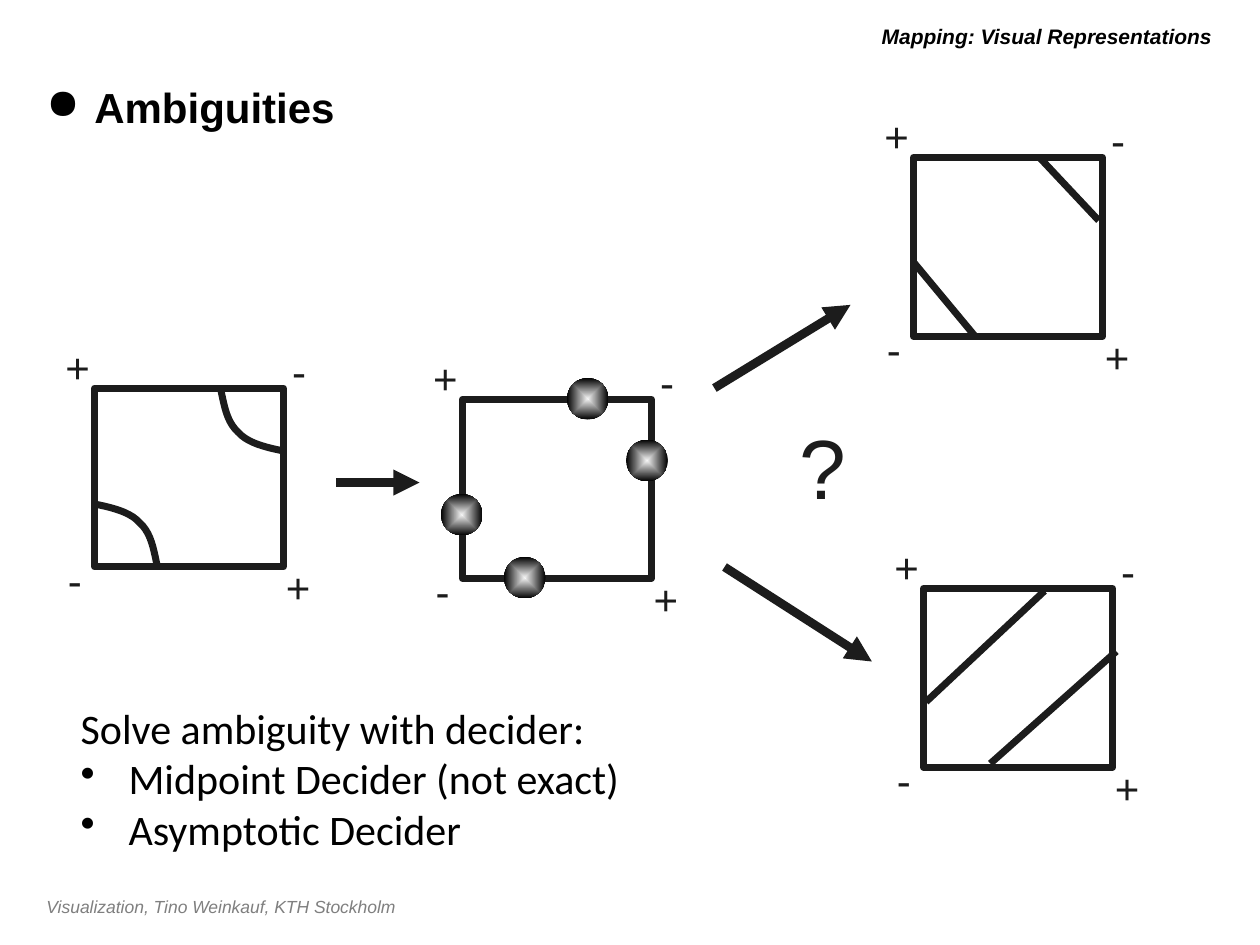
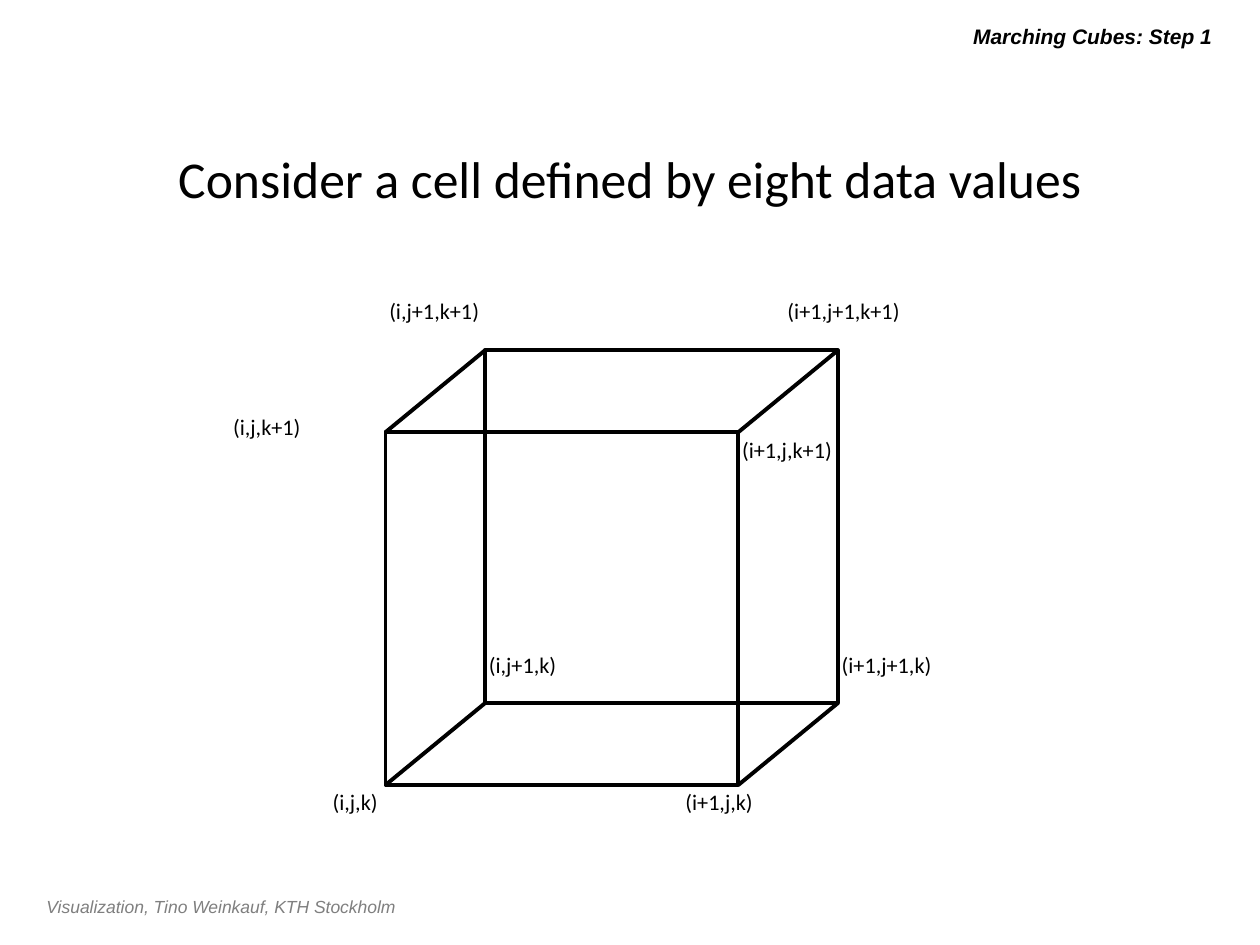
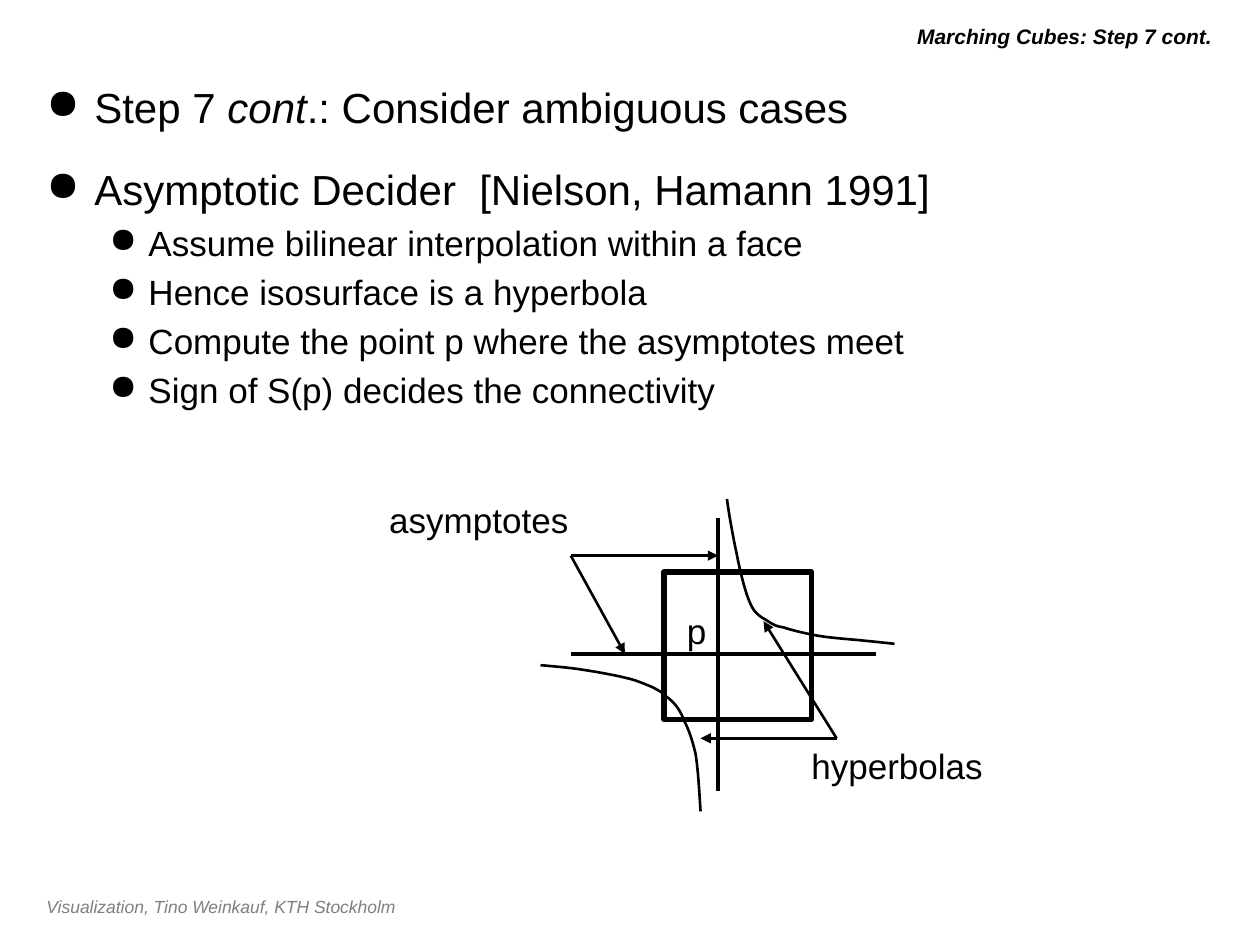
from dataclasses import dataclass
from itertools import product

from lxml import etree
from pptx import Presentation
from pptx.dml.color import RGBColor
from pptx.enum import shapes, text
from pptx.oxml.ns import qn
from pptx.util import Pt

PX = 9144
BLACK = RGBColor(0x00, 0x00, 0x00)
INK = RGBColor(0x1C, 0x1C, 0x1C)
GREY = RGBColor(0x7F, 0x7F, 0x7F)
GLINT = RGBColor(0xF5, 0xF5, 0xF5)

FOOTER = "Visualization, Tino Weinkauf, KTH Stockholm"
CELL_W, CELL_H = 150, 142
CORNER_SIGNS = [("+", -33, -42, 40), ("-", 147, -39, 31), ("-", -31, 127, 31), ("+", 142, 133, 40)]
FIT = {"word_wrap": False, "auto_size": text.MSO_AUTO_SIZE.SHAPE_TO_FIT_TEXT}
MIDDLE = {"vertical_anchor": text.MSO_ANCHOR.MIDDLE}


@dataclass
class Line:
    runs: list
    bullet: str = ""
    indent: int = 0
    hanging: int = 0
    before: int = 0


def apply(target, values):
    for name, value in values.items():
        setattr(target, name, value)


def margins(size):
    return {f"margin_{side}": size * PX for side in ("left", "top", "right", "bottom")}


def write(slide, box, lines, size, face="Arial", color=BLACK, align=text.PP_ALIGN.LEFT,
          frame=None, **emphasis):
    body = slide.shapes.add_textbox(*[n * PX for n in box]).text_frame
    apply(body, {"word_wrap": True, **(frame or {})})
    for number, line in enumerate(lines):
        paragraph = body.add_paragraph() if number else body.paragraphs[0]
        if line.bullet:
            props = paragraph._p.get_or_add_pPr()
            props.set("marL", str(line.indent * PX))
            props.set("indent", str(-line.hanging * PX))
            etree.SubElement(props, qn("a:buChar")).set("char", line.bullet)
        paragraph.alignment = align
        if number and line.before:
            paragraph.space_before = Pt(line.before)
        for words, change in line.runs:
            run = paragraph.add_run()
            run.text = words
            apply(run.font, {"name": face, "size": Pt(size), **emphasis, **change})
            run.font.color.rgb = color


def label(slide, box, words, size, **options):
    write(slide, box, [Line([(words, {})])], size, **options)


def ink_line(shape, color, weight):
    shape.line.color.rgb = color
    shape.line.width = Pt(weight)


def square(slide, box, color, weight):
    outline = slide.shapes.add_shape(shapes.MSO_SHAPE.RECTANGLE, *[n * PX for n in box])
    outline.shadow.inherit = False
    outline.fill.background()
    ink_line(outline, color, weight)


def segment(slide, start, end, color, weight, arrow=False):
    stroke = slide.shapes.add_connector(
        shapes.MSO_CONNECTOR.STRAIGHT, *[n * PX for n in (*start, *end)])
    ink_line(stroke, color, weight)
    etree.SubElement(stroke._element.spPr, qn("a:effectLst"))
    if arrow:
        etree.SubElement(stroke.line._get_or_add_ln(), qn("a:tailEnd")).set("type", "triangle")


def bezier(p, q, r, s, t):
    return tuple((1 - t) ** 3 * a + 3 * t * (1 - t) ** 2 * b + 3 * t * t * (1 - t) * c + t ** 3 * d
                 for a, b, c, d in zip(p, q, r, s))


def curve(slide, left, top, points, color, weight, steps=10):
    track = [points[0]]
    for n in range(0, len(points) - 1, 3):
        track += [bezier(*points[n:n + 4], step / steps) for step in range(1, steps + 1)]
    track = [(round((left + x) * PX), round((top + y) * PX)) for x, y in track]
    builder = slide.shapes.build_freeform(*track[0])
    builder.add_line_segments(track[1:], close=False)
    bend = builder.convert_to_shape()
    bend.shadow.inherit = False
    bend.fill.background()
    ink_line(bend, color, weight)


def new_slide(deck, title):
    slide = deck.slides.add_slide(deck.slide_layouts[6])
    label(slide, (27, 706, 739, 27), FOOTER, 10, color=GREY, italic=True)
    label(slide, (158, 13, 814, 31), title, 12, align=text.PP_ALIGN.RIGHT,
          frame=MIDDLE, bold=True, italic=True)
    return slide


def main_point(*runs):
    return Line(list(runs), "●", 38, 38, 18)


def sub_point(words):
    return Line([(words, {"size": Pt(20)})], "●", 81, 31, 4)


def outline_text(slide, lines):
    write(slide, (27, 60, 945, 630), lines, 24)


def cell(slide, left, top):
    square(slide, (left, top, CELL_W, CELL_H), INK, 4)
    for sign, dx, dy, width in CORNER_SIGNS:
        label(slide, (left + dx, top + dy, width, 50), sign, 24, color=INK, frame=FIT)


def curved_cell(slide, left, top):
    cell(slide, left, top)
    bend = [(100, 0), (103, 14), (105, 27), (114, 35), (122, 44), (136, 47), (150, 50)]
    opposite = [(CELL_W - x, CELL_H - y) for x, y in bend]
    for points in (bend, opposite):
        curve(slide, left, top, points, INK, 4)


def crossing_cell(slide, left, top):
    cell(slide, left, top)
    for dx, dy in [(-17, 75), (33, 125), (83, -17), (130, 32)]:
        crossing = slide.shapes.add_shape(
            shapes.MSO_SHAPE.OVAL, *[n * PX for n in (left + dx, top + dy, 33, 33)])
        crossing.shadow.inherit = False
        crossing.line.fill.background()
        crossing.fill.gradient()
        for stop, color in zip(crossing.fill.gradient_stops, (GLINT, BLACK)):
            stop.color.rgb = color
        blend = crossing._element.spPr.find(qn("a:gradFill"))
        blend.remove(blend.find(qn("a:lin")))
        shade = etree.SubElement(blend, qn("a:path"))
        shade.set("path", "shape")
        center = etree.SubElement(shade, qn("a:fillToRect"))
        for side in "ltrb":
            center.set(side, "50000")


def split_cell(slide, left, top, cuts):
    cell(slide, left, top)
    for x1, y1, x2, y2 in cuts:
        segment(slide, (left + x1, top + y1), (left + x2, top + y2), INK, 4)


def ambiguities(deck):
    slide = new_slide(deck, "Mapping: Visual Representations")
    curved_cell(slide, 75, 308)
    crossing_cell(slide, 367, 317)
    split_cell(slide, 725, 125, [(0, 83, 49, 142), (100, 0, 147, 50)])
    split_cell(slide, 733, 467, [(2, 90, 96, 2), (53, 139, 153, 50)])
    for start, end in [((267, 383), (333, 383)), ((567, 308), (675, 242)), ((575, 450), (692, 525))]:
        segment(slide, start, end, INK, 5, arrow=True)
    label(slide, (625, 325, 57, 90), "?", 48, color=INK, frame=FIT)
    outline_text(slide, [main_point(("Ambiguities", {"bold": True}))])
    deciders = [Line([(words, {})], "•", 38, 38)
                for words in ("Midpoint Decider (not exact)", "Asymptotic Decider")]
    write(slide, (64, 557, 511, 121), [Line([("Solve ambiguity with decider:", {})]), *deciders],
          24, "Calibri", frame={**MIDDLE, **margins(0)})


def cube(slide, left, top, side, shift_x, shift_y):
    def corner(i, j, k):
        return left + i * side + j * shift_x, top + (1 - k) * side + (1 - j) * shift_y

    for j in (0, 1):
        square(slide, (*corner(0, j, 1), side, side), BLACK, 2.25)
    for i, k in product((0, 1), repeat=2):
        segment(slide, corner(i, 0, k), corner(i, 1, k), BLACK, 2.25)
    label_shifts = {
        (0, 0, 0): (-45, 0), (1, 0, 0): (-45, 0), (0, 1, 0): (0, -44), (1, 1, 0): (0, -44),
        (0, 0, 1): (-124, -18), (1, 0, 1): (0, 0), (0, 1, 1): (-79, -45), (1, 1, 1): (-43, -45),
    }
    for index, (dx, dy) in label_shifts.items():
        x, y = corner(*index)
        name = ",".join(axis + "+1" * step for axis, step in zip("ijk", index))
        label(slide, (x + dx, y + dy, 150, 43), f"({name})", 12.7, face="Calibri",
              frame=margins(3))


def cell_corners(deck):
    slide = new_slide(deck, "Marching Cubes: Step 1")
    cube(slide, 306, 278, 280, 79, 65)
    label(slide, (100, 116, 800, 50), "Consider a cell defined by eight data values", 29.5,
          face="Calibri", align=text.PP_ALIGN.CENTER,
          frame={**MIDDLE, **margins(0), "word_wrap": False})


def hyperbola_plot(slide, left, top):
    def at(x, y):
        return left + x, top + y

    for start, end in [((271, 20), (271, 237)), ((154, 128), (396, 128))]:
        segment(slide, at(*start), at(*end), BLACK, 2.25)
    upper = [(278, 5), (280, 20), (283, 36), (286, 50), (289, 65), (293, 81), (297, 89),
             (301, 98), (308, 100), (312, 103), (317, 106), (318, 106), (323, 107),
             (329, 109), (337, 111), (347, 113), (357, 115), (371, 116), (382, 117),
             (392, 118), (402, 119), (411, 120)]
    lower = [(130, 137), (142, 138), (154, 139), (166, 141), (179, 143), (195, 146), (205, 149),
             (216, 153), (224, 156), (230, 162), (237, 167), (241, 173), (244, 181),
             (248, 189), (250, 195), (253, 207), (255, 219), (256, 236), (257, 253)]
    for branch in (upper, lower):
        curve(slide, left, top, branch, BLACK, 1.5)
    pointers = {(154, 50): [(197, 128), (271, 50)], (365, 195): [(257, 195), (307, 102)]}
    for start, ends in pointers.items():
        for end in ends:
            segment(slide, at(*start), at(*end), BLACK, 1.5, arrow=True)
    square(slide, (*at(228, 63), 117, 117), BLACK, 3)
    for words, x, y, width in [("asymptotes", 0, 0, 162), ("hyperbolas", 335, 195, 156),
                               ("p", 236, 88, 36)]:
        label(slide, (*at(x, y), width, 43), words, 20, align=text.PP_ALIGN.CENTER, frame=FIT)


def asymptotic_decider(deck):
    slide = new_slide(deck, "Marching Cubes: Step 7 cont.")
    outline_text(slide, [
        main_point(("Step 7 ", {}), ("cont", {"italic": True}), (".: Consider ambiguous cases", {})),
        main_point(("Asymptotic Decider  [Nielson, Hamann 1991]", {})),
        sub_point("Assume bilinear interpolation within a face"),
        sub_point("Hence isosurface is a hyperbola"),
        sub_point("Compute the point p where the asymptotes meet"),
        sub_point("Sign of S(p) decides the connectivity"),
    ])
    hyperbola_plot(slide, 299, 391)


def main():
    deck = Presentation()
    deck.slide_width, deck.slide_height = 1000 * PX, 750 * PX
    for build in (ambiguities, cell_corners, asymptotic_decider):
        build(deck)
    deck.save("out.pptx")


if __name__ == "__main__":
    main()
